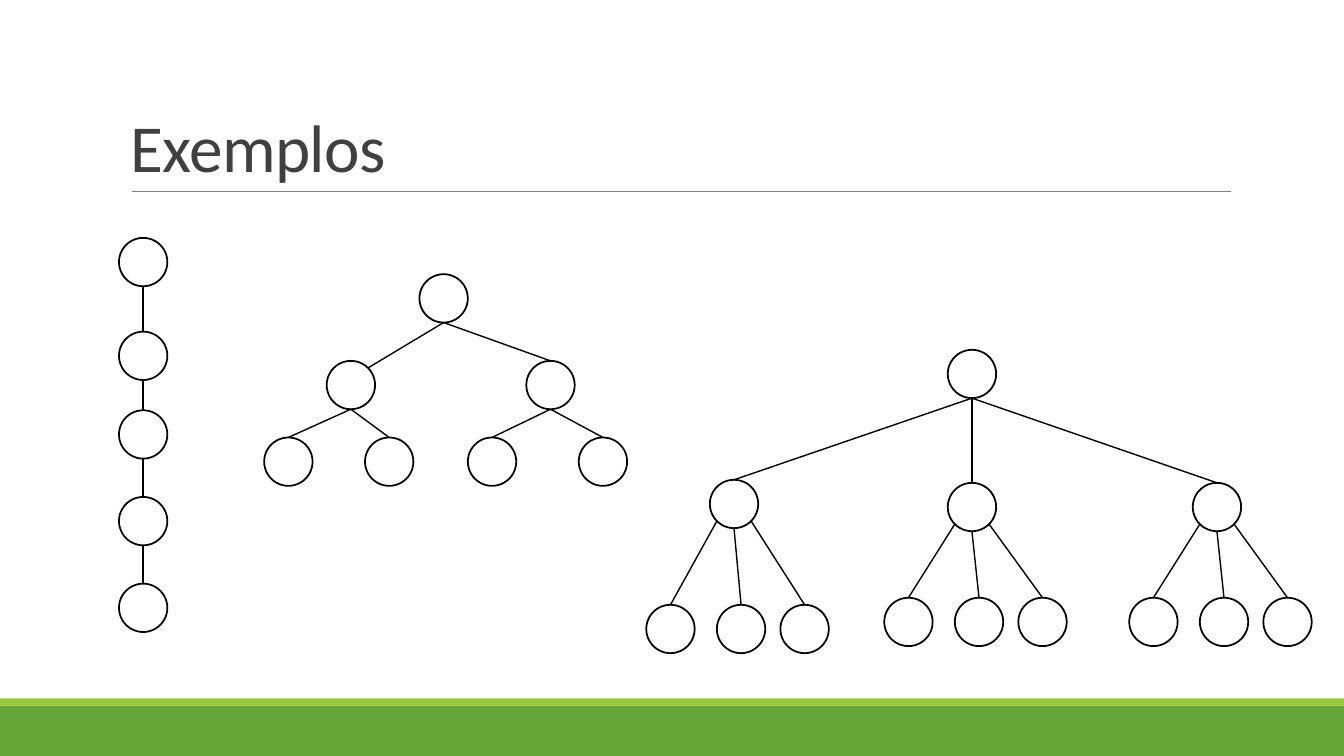
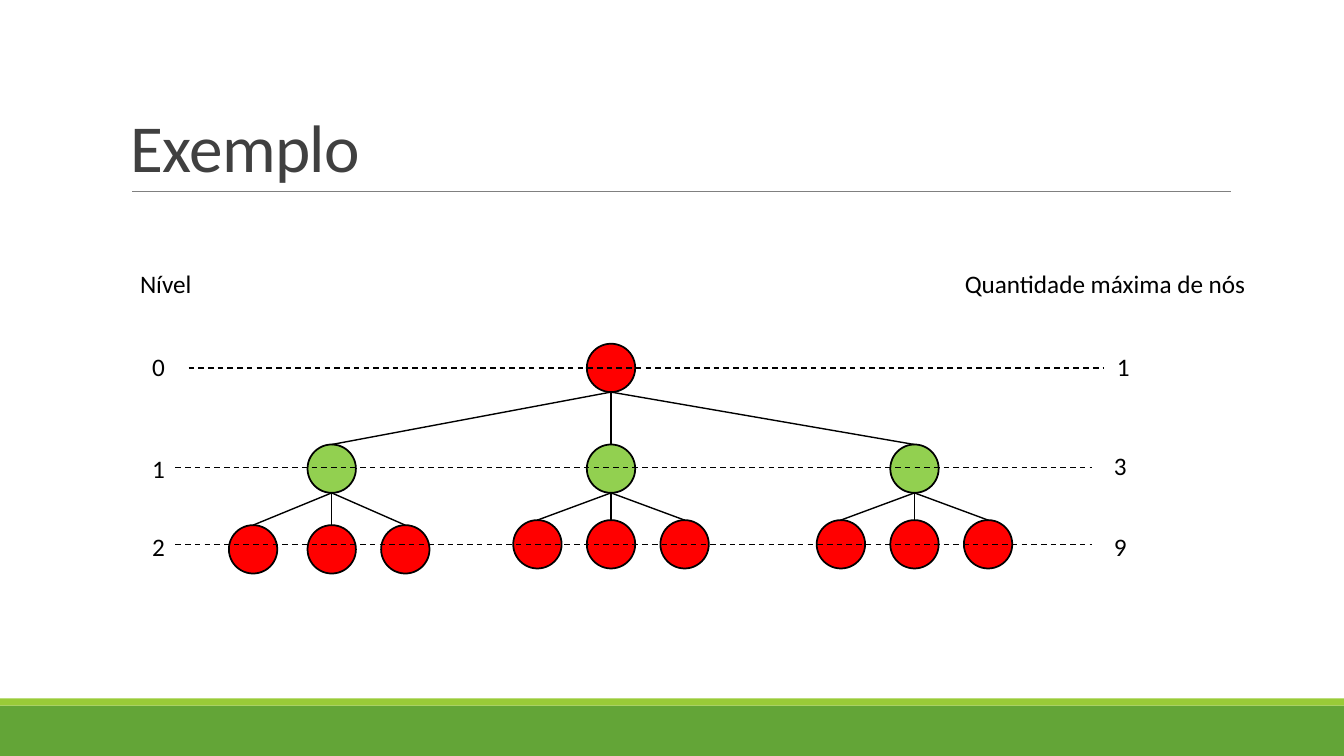
from collections import namedtuple

from lxml.etree import SubElement
from pptx import Presentation
from pptx.dml.color import RGBColor
from pptx.enum.dml import MSO_LINE
from pptx.enum.shapes import MSO_CONNECTOR, MSO_SHAPE
from pptx.enum.text import MSO_ANCHOR
from pptx.oxml.ns import qn
from pptx.util import Inches, Pt

FONT = "Calibri"
BLACK, WHITE, GRAY, TITLE_GRAY = "000000", "FFFFFF", "808080", "404040"
RED, LIGHT_GREEN = "FF0000", "92D050"
BANDS = [(7, 0.5, "63A537"), (6.93, 0.07, "99CB38")]
SLIDE_WIDTH = 13.33
DIAMETER = 0.48
RADIUS = DIAMETER / 2
DIAGONAL = 0.17  # offset of a 45° point on a node's outline

# leave: side of the parent where the edge starts (-1 left, 0 bottom, 1 right)
# enter: side of the node where the edge ends (0 top, 1 upper right)
Node = namedtuple("Node", "left top parent fill leave enter",
                  defaults=(None, WHITE, 0, 0))


def add_line(slide, start, end, color=BLACK, width=1):
    line = slide.shapes.add_connector(
        MSO_CONNECTOR.STRAIGHT, *(Inches(value) for value in (*start, *end)))
    line.line.color.rgb = RGBColor.from_string(color)
    line.line.width = Pt(width)
    SubElement(line._element.spPr, qn("a:effectLst"))
    return line


def add_text(slide, text, left, top, width, height, size=18, color=BLACK):
    box = slide.shapes.add_textbox(*map(Inches, (left, top, width, height)))
    box.text_frame.word_wrap = False
    box.text_frame.text = text
    font = box.text_frame.paragraphs[0].runs[0].font
    font.name, font.size = FONT, Pt(size)
    font.color.rgb = RGBColor.from_string(color)
    return box.text_frame


# Slide 1: a chain, a binary tree and a ternary tree
examples = []
chain_parent = None
for top in (2.36, 3.29, 4.07, 4.93, 5.79):
    chain_parent = Node(1.18, top, chain_parent)
    examples.append(chain_parent)

binary_root = Node(4.16, 2.72)
examples.append(binary_root)
for left, enter, leaf_lefts in ((3.24, 1, (2.62, 3.62)), (5.22, 0, (4.64, 5.74))):
    branch = Node(left, 3.58, binary_root, enter=enter)
    examples.append(branch)
    examples += [Node(leaf_left, 4.34, branch) for leaf_left in leaf_lefts]

ternary_root = Node(9.4, 3.47)
examples.append(ternary_root)
for left, top, leaf_top in ((7.04, 4.76, 6), (9.4, 4.79, 5.93), (11.83, 4.79, 5.93)):
    branch = Node(left, top, ternary_root)
    examples.append(branch)
    for side, offset in ((-1, -0.63), (0, 0.07), (1, 0.7)):
        examples.append(Node(left + offset, leaf_top, branch, leave=side))

# Slide 2: a ternary tree coloured by level
level_root = Node(5.82, 3.41, fill=RED)
levels = [level_root]
for left, leaf_top, first_offset in ((3.05, 5.21, -0.78), (5.82, 5.16, -0.73),
                                     (8.83, 5.16, -0.73)):
    branch = Node(left, 4.41, level_root, LIGHT_GREEN)
    levels.append(branch)
    for offset in (first_offset, 0, 0.73):
        levels.append(Node(left + offset, leaf_top, branch, RED))

prs = Presentation()
prs.slide_width, prs.slide_height = Inches(SLIDE_WIDTH), Inches(7.5)

for title, nodes in (("Exemplos", examples), ("Exemplo", levels)):
    slide = prs.slides.add_slide(prs.slide_layouts[6])
    for top, height, color in BANDS:
        band = slide.shapes.add_shape(MSO_SHAPE.RECTANGLE, 0, Inches(top),
                                      Inches(SLIDE_WIDTH), Inches(height))
        band.shadow.inherit = False
        band.fill.solid()
        band.fill.fore_color.rgb = RGBColor.from_string(color)
        band.line.fill.background()
    add_line(slide, (1.31, 1.9), (12.21, 1.9), GRAY, 0.5)

    heading = add_text(slide, title, 1.2, 0.31, 11, 1.59, 48, TITLE_GRAY)
    heading.word_wrap = True
    heading.vertical_anchor = MSO_ANCHOR.BOTTOM
    heading.paragraphs[0].line_spacing = 0.85
    heading.paragraphs[0].runs[0].font._element.set("spc", "-50")

    for node in nodes:
        circle = slide.shapes.add_shape(
            MSO_SHAPE.OVAL, Inches(node.left), Inches(node.top),
            Inches(DIAMETER), Inches(DIAMETER))
        circle.shadow.inherit = False
        circle.fill.solid()
        circle.fill.fore_color.rgb = RGBColor.from_string(node.fill)
        circle.line.color.rgb = RGBColor.from_string(BLACK)
        circle.line.width = Pt(1.25)
        if node.parent is None:
            continue
        drop = DIAGONAL if node.leave else RADIUS
        start = (node.parent.left + RADIUS + node.leave * DIAGONAL,
                 node.parent.top + RADIUS + drop)
        rise = DIAGONAL if node.enter else RADIUS
        end = (node.left + RADIUS + node.enter * DIAGONAL,
               node.top + RADIUS - rise)
        edge = add_line(slide, start, end)
        if not node.enter:
            edge.end_connect(circle, 0)

# Level labels, node counts and dashed level lines on the last slide
add_text(slide, "Nível", 1.29, 2.61, 0.72, 0.4)
add_text(slide, "Quantidade máxima de nós", 9.47, 2.61, 3.02, 0.4)
for level, level_top, count, count_left, count_top, line_left, line_right, line_y in (
        ("0", 3.44, "1", 10.98, 3.44, 1.87, 10.95, 3.65),
        ("1", 4.45, "3", 10.95, 4.42, 1.74, 10.83, 4.64),
        ("2", 5.22, "9", 10.95, 5.22, 1.74, 10.83, 5.4)):
    add_text(slide, level, 1.41, level_top, 0.33, 0.4)
    add_text(slide, count, count_left, count_top, 0.33, 0.4)
    level_line = add_line(slide, (line_left, line_y), (line_right, line_y))
    level_line.line.dash_style = MSO_LINE.DASH

prs.save("out.pptx")
